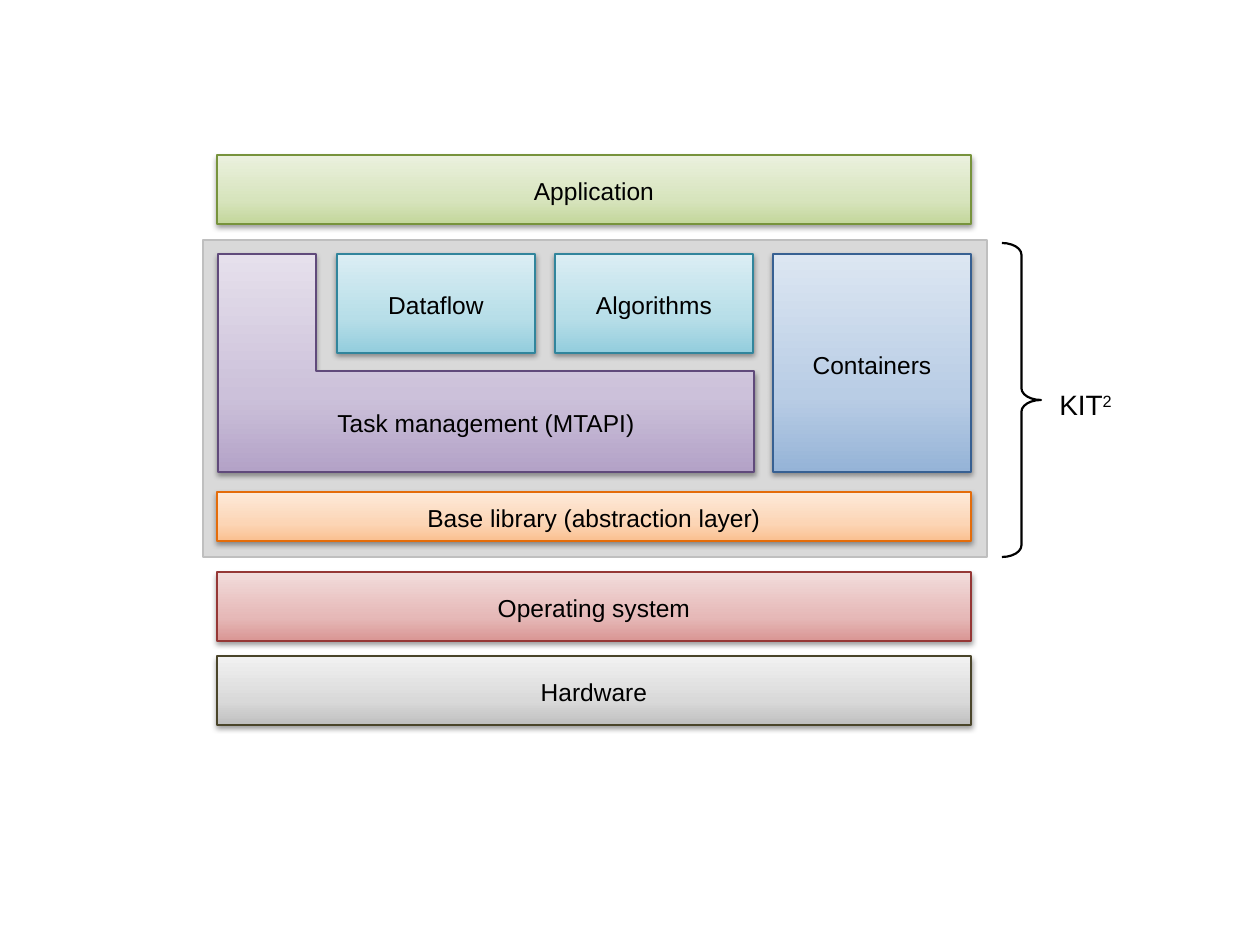
from lxml import etree
from pptx import Presentation
from pptx import util as u
from pptx.dml.color import RGBColor
from pptx.enum import shapes, text
from pptx.oxml import parse_xml
from pptx.oxml.ns import nsdecls, qn

SCALE = 914400 / 126
KINDS = shapes.MSO_SHAPE


def color(value):
    return RGBColor.from_string(value)


def write(shape, runs, size):
    frame = shape.text_frame
    frame.word_wrap = False
    paragraph = frame.paragraphs[0]
    for name, value in {"alignment": text.PP_ALIGN.CENTER, "line_spacing": 1.1}.items():
        setattr(paragraph, name, value)
    for words in runs:
        run = paragraph.add_run()
        run.text = words
        for name, value in {"name": "Arial", "size": u.Pt(size)}.items():
            setattr(run.font, name, value)
        run.font.color.rgb = color("000000")
    return paragraph


presentation = Presentation()
presentation.slide_width = u.Inches(10)
presentation.slide_height = u.Inches(7.5)
slide = presentation.slides.add_slide(presentation.slide_layouts[6])

left, full_width = 217, 754
top, column_width, column_gap = 254, 198, 20
columns = [337 + index * (column_width + column_gap) for index in range(3)]
tall, short, bar = 218, 99, 69

teal = ("93CDDD", "B7DEE8", "DBEEF4", "31859C")
blocks = [
    ("", "rect", (203, 240, 784, 317), ("D9D9D9", "BFBFBF")),
    ("Operating system", "rect", (left, 572, full_width, bar),
     ("D99694", "E6B9B8", "F2DCDB", "953735")),
    ("Dataflow", "rect", (columns[0], top, column_width, short), teal),
    ("Application", "rect", (left, 155, full_width, bar),
     ("C3D69B", "D7E4BD", "EBF1DE", "77933C")),
    ("Hardware", "rect", (left, 656, full_width, bar),
     ("BFBFBF", "D9D9D9", "F2F2F2", "4A452A")),
    ("Containers", "rect", (columns[2], top, column_width, tall),
     ("95B3D7", "B9CDE5", "DCE6F2", "376092")),
    ("Task management (MTAPI)", "corner", (218, top, 536, tall),
     ("B3A2C7", "CCC1DA", "E6E0EC", "604A7B")),
    ("Algorithms", "rect", (columns[1], top, column_width, short), teal),
    ("Base library (abstraction layer)", "rect", (left, 492, full_width, 49),
     ("FAC090", "FCD5B5", "FDEADA", "E46C0A")),
]

for label, preset, box, (*fills, outline) in blocks:
    shape = slide.shapes.add_shape(KINDS.RECTANGLE, *(round(side * SCALE) for side in box))
    shape.shadow.inherit = False
    shape.line.color.rgb = color(outline)
    shape.line.width = u.Pt(0.75)
    if not label:
        shape.fill.solid()
        shape.fill.fore_color.rgb = color(fills[0])
        continue
    properties = shape._element.spPr
    geometry = properties.find(qn("a:prstGeom"))
    if preset == "corner":
        geometry.set("prst", preset)
        for name, value in {"adj1": 46300, "adj2": 44900}.items():
            etree.SubElement(
                geometry.find(qn("a:avLst")), qn("a:gd"), name=name, fmla=f"val {value}"
            )
    stops = "".join(
        f'<a:gs pos="{position}"><a:srgbClr val="{fill}"/></a:gs>'
        for position, fill in zip((0, 35000, 100000), fills)
    )
    gradient = parse_xml(
        f'<a:gradFill {nsdecls("a")} rotWithShape="1"><a:gsLst>{stops}</a:gsLst>'
        '<a:lin ang="16200000" scaled="1"/></a:gradFill>'
    )
    geometry.addnext(gradient)
    shadow = etree.SubElement(
        properties.find(qn("a:effectLst")), qn("a:outerShdw"),
        blurRad="40000", dist="20000", dir="5400000", rotWithShape="0",
    )
    shade = etree.SubElement(shadow, qn("a:srgbClr"), val="000000")
    etree.SubElement(shade, qn("a:alpha"), val="38000")
    shape.text_frame.vertical_anchor = text.MSO_ANCHOR.MIDDLE
    write(shape, [label], 14)

brace = slide.shapes.add_shape(
    KINDS.RIGHT_BRACE, *(round(side * SCALE) for side in (1002, 243, 39, 314))
)
brace.shadow.inherit = False
brace.fill.background()
brace.line.color.rgb = color("000000")
brace.line.width = u.Pt(1.25)
brace.adjustments[0] = 0.3

caption = slide.shapes.add_textbox(*(round(side * SCALE) for side in (1037, 378, 97, 47)))
caption.text_frame.auto_size = text.MSO_AUTO_SIZE.SHAPE_TO_FIT_TEXT
paragraph = write(caption, ["KIT", "2"], 16)
paragraph.runs[1].font._element.set("baseline", "30000")

presentation.save("out.pptx")
